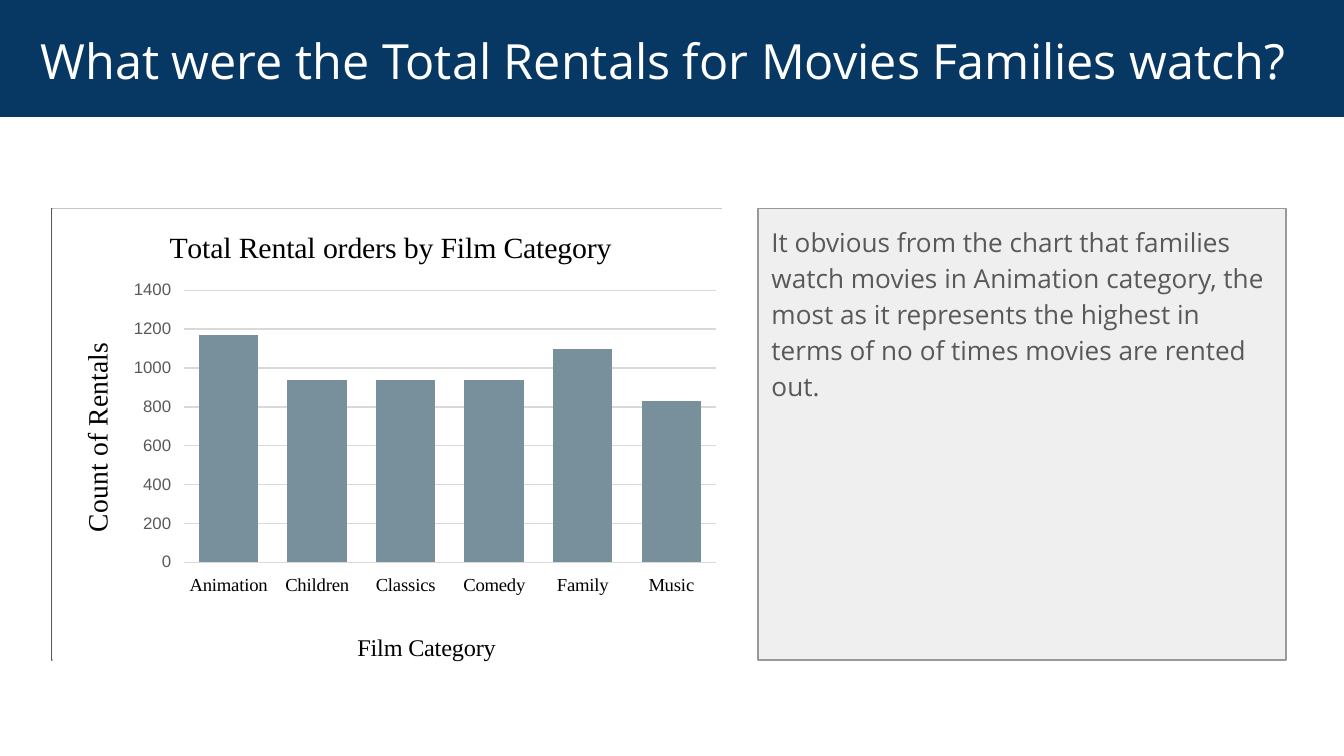
import pptx
import pptx.chart.data
import pptx.dml.color
import pptx.enum.chart
import pptx.enum.shapes
import pptx.enum.text
import pptx.oxml
import pptx.oxml.ns
import pptx.util

Pt = pptx.util.Pt
RGB = pptx.dml.color.RGBColor
qn = pptx.oxml.ns.qn

TITLE = "What were the Total Rentals for Movies Families watch?"
BODY = ("It obvious from the chart that families watch movies in Animation category, "
        "the most as it represents the highest in terms of no of times movies are rented out.")
RENTALS = {"Animation": 1170, "Children": 940, "Classics": 940,
           "Comedy": 940, "Family": 1100, "Music": 830}

NAVY, WHITE, BLACK = RGB(0x07, 0x37, 0x63), RGB(0xFF, 0xFF, 0xFF), RGB(0, 0, 0)
PANEL, PANEL_LINE = RGB(0xEF, 0xEF, 0xEF), RGB(0x99, 0x99, 0x99)
FRAME, GRAY = RGB(0xEE, 0xEE, 0xEE), RGB(0x59, 0x59, 0x59)
GRID, BAR = RGB(0xD9, 0xD9, 0xD9), RGB(0x78, 0x90, 0x9C)
SERIF, SANS, HEADING = "Times New Roman", "Arial", "Open Sans"

TOP, PANEL_HEIGHT = 111.6, 242.1
TITLE_BOX = (0, 0, 720, 62.6)
BODY_BOX = (406.1, TOP, 282.8, PANEL_HEIGHT)
FRAME_BOX = (27.7, TOP, 358.6, PANEL_HEIGHT)
CHART_BOX = (28, TOP, 362.9, 247)

# Parts of the chart, in points from its top left corner
PLOT_LAYOUT = {"x": 70.8, "y": 44.7, "w": 284.6, "h": 148.2}
CHART_TITLE = ("Total Rental orders by Film Category", 16, {"x": 59.9, "y": 8.1})
CATEGORY_TITLE = ("Film Category", 13, {"x": 161.1, "y": 229})
VALUE_TITLE = ("Count of Rentals", 15, {"x": 11.7, "y": 72.1})


def set_font(font, name, size, color):
    for key, value in {"name": name, "size": Pt(size), "bold": False}.items():
        setattr(font, key, value)
    font.color.rgb = color


def place(sp, box):
    for key, value in zip(("left", "top", "width", "height"), box):
        setattr(sp, key, Pt(value))


def paint(sp, fill, line=None):
    sp.fill.solid()
    sp.fill.fore_color.rgb = fill
    if line is None:
        sp.line.fill.background()
    else:
        sp.line.color.rgb = line
        sp.line.width = Pt(0.75)


def fill_placeholder(sp, text, size, color, frame, paragraph):
    tf = sp.text_frame
    for key, value in frame.items():
        setattr(tf, key, value)
    p = tf.paragraphs[0]
    for key, value in paragraph.items():
        setattr(p, key, value)
    r = p.add_run()
    r.text = text
    set_font(r.font, HEADING, size, color)
    return p


def set_layout(parent, before, parts, inner=False):
    """Fix the position of a chart part, ahead of the child named in before."""
    for old in parent.findall(qn("c:layout")):
        parent.remove(old)
    width, height = CHART_BOX[2:]
    sizes = {"x": width, "w": width, "y": height, "h": height}
    target = '<c:layoutTarget val="inner"/>' if inner else ""
    modes = "".join(f'<c:{k}Mode val="edge"/>' for k in "xy")
    values = "".join(f'<c:{k} val="{v / sizes[k]:.4f}"/>' for k, v in parts.items())
    layout = pptx.oxml.parse_xml(
        f'<c:layout {pptx.oxml.ns.nsdecls("c")}><c:manualLayout>'
        f'{target}{modes}{values}</c:manualLayout></c:layout>')
    parent.find(qn(before)).addprevious(layout)


def set_chart_title(owner, holder, text, size, parts):
    title = getattr(owner, holder)
    title.text_frame.text = text
    set_font(title.text_frame.paragraphs[0].runs[0].font, SERIF, size, BLACK)
    element = title._element
    if element.find(qn("c:overlay")) is None:
        element.find(qn("c:tx")).addnext(element.makeelement(qn("c:overlay"), {"val": "0"}))
    set_layout(element, "c:overlay", parts)


def add_rentals_chart(s):
    data = pptx.chart.data.CategoryChartData()
    data.categories = list(RENTALS)
    data.add_series("Series 1", list(RENTALS.values()))
    chart = s.shapes.add_chart(pptx.enum.chart.XL_CHART_TYPE.COLUMN_CLUSTERED,
                               *map(Pt, CHART_BOX), data).chart
    set_font(chart.font, SANS, 10, BLACK)
    chart.has_legend = False
    plot = chart.plots[0]
    plot.gap_width, plot.vary_by_categories = 49, False
    bars = plot.series[0].format
    bars.fill.solid()
    bars.fill.fore_color.rgb = BAR

    for axis, name, size, color in ((chart.category_axis, SERIF, 10, BLACK),
                                    (chart.value_axis, SANS, 9, GRAY)):
        set_font(axis.tick_labels.font, name, size, color)
        axis.format.line.fill.background()
    value_axis = chart.value_axis
    value_axis.minimum_scale, value_axis.maximum_scale, value_axis.major_unit = 0, 1400, 200
    value_axis.major_gridlines.format.line.color.rgb = GRID
    value_axis.major_gridlines.format.line.width = Pt(0.75)

    set_chart_title(chart, "chart_title", *CHART_TITLE)
    set_chart_title(chart.category_axis, "axis_title", *CATEGORY_TITLE)
    set_chart_title(value_axis, "axis_title", *VALUE_TITLE)
    space = chart._chartSpace
    set_layout(space.chart.plotArea, "c:barChart", PLOT_LAYOUT, inner=True)
    space.chart.addnext(pptx.oxml.parse_xml(
        f'<c:spPr {pptx.oxml.ns.nsdecls("c", "a")}><a:solidFill><a:srgbClr val="{WHITE}"/>'
        '</a:solidFill><a:ln><a:noFill/></a:ln></c:spPr>'))


def main():
    prs = pptx.Presentation()
    prs.slide_width, prs.slide_height = Pt(720), Pt(405)
    s = prs.slides.add_slide(prs.slide_layouts[1])
    title, body = s.shapes.title, s.placeholders[1]
    anchor, align = pptx.enum.text.MSO_ANCHOR, pptx.enum.text.PP_ALIGN
    frame = {f"margin_{side}": Pt(7.2) for side in ("left", "top", "right", "bottom")}
    frame |= {"word_wrap": True, "auto_size": pptx.enum.text.MSO_AUTO_SIZE.NONE}

    place(title, TITLE_BOX)
    paint(title, NAVY)
    fill_placeholder(title, TITLE, 26, WHITE,
                     frame | {"margin_left": Pt(21.6), "margin_top": Pt(9.4),
                              "vertical_anchor": anchor.MIDDLE},
                     {"alignment": align.LEFT})

    place(body, BODY_BOX)
    paint(body, PANEL, PANEL_LINE)
    p = fill_placeholder(body, BODY, 14, GRAY, frame | {"vertical_anchor": anchor.TOP},
                         {"alignment": align.LEFT, "line_spacing": 1.15,
                          "space_before": Pt(0), "space_after": Pt(16)})
    pPr = p._p.get_or_add_pPr()
    for key in ("marL", "indent"):
        pPr.set(key, "0")
    pPr.append(pPr.makeelement(qn("a:buNone"), {}))

    chart_frame = s.shapes.add_shape(pptx.enum.shapes.MSO_SHAPE.RECTANGLE, *map(Pt, FRAME_BOX))
    chart_frame.shadow.inherit = False
    paint(chart_frame, FRAME, GRAY)
    add_rentals_chart(s)
    prs.save("out.pptx")


if __name__ == "__main__":
    main()
